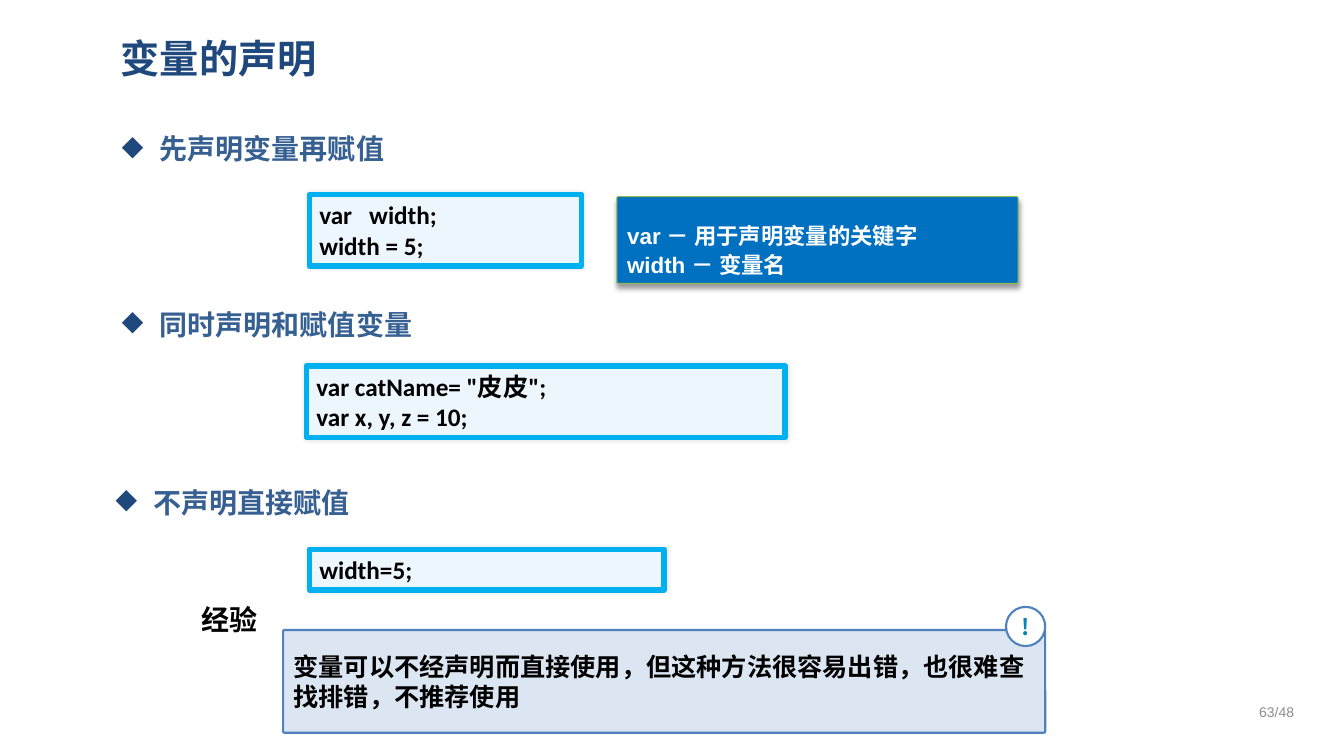
from lxml.etree import SubElement
from pptx import Presentation
from pptx.dml.color import RGBColor
from pptx.enum.shapes import MSO_SHAPE
from pptx.enum.text import MSO_ANCHOR, PP_ALIGN
from pptx.oxml.ns import qn
from pptx.util import Pt

NAVY = RGBColor(0x1F, 0x49, 0x7D)
STEEL = RGBColor(0x37, 0x60, 0x92)
BLUE = RGBColor(0x4F, 0x81, 0xBD)
MARK = RGBColor(0x0C, 0x83, 0xB8)
KEYWORD = RGBColor(0x00, 0x70, 0xC0)
OLIVE = RGBColor(0x95, 0xB7, 0x4F)
CYAN = RGBColor(0x00, 0xB0, 0xF0)
CODE = RGBColor(0xED, 0xF5, 0xFD)
PALE = RGBColor(0xDC, 0xE6, 0xF2)
GREY = RGBColor(0x8C, 0x8C, 0x8C)
BLACK = RGBColor(0, 0, 0)
WHITE = RGBColor(255, 255, 255)
HAN = "Noto Sans CJK SC"


def add_shadow(effects, opacity, blur, distance, angle):
    """Put an outer shadow in an effect list."""
    shadow = SubElement(effects, qn("a:outerShdw"), blurRad=str(Pt(blur)),
                        dist=str(Pt(distance)), dir=str(angle * 60000),
                        algn="ctr", rotWithShape="0")
    colour = SubElement(shadow, qn("a:srgbClr"), val=str(BLACK))
    SubElement(colour, qn("a:alpha"), val=str(opacity * 1000))


def add_bullet(para):
    """Give a paragraph a hanging navy diamond."""
    properties = para._p.get_or_add_pPr()
    properties.set("marL", str(Pt(27)))
    properties.set("indent", str(-Pt(27)))
    colour = SubElement(properties, qn("a:buClr"))
    SubElement(colour, qn("a:srgbClr"), val=str(NAVY))
    SubElement(properties, qn("a:buChar"), char="◆")


def write(shape, text, size=18, font=HAN, colour=BLACK, bold=True, align=PP_ALIGN.LEFT,
          anchor=MSO_ANCHOR.TOP, wrap=True, spacing=None, gap=0, bullet=False, shadow=None):
    """Write each line of the text as a paragraph of the shape."""
    frame = shape.text_frame
    frame.word_wrap = wrap
    frame.vertical_anchor = anchor
    for index, line in enumerate(text.split("\n")):
        para = frame.add_paragraph() if index else frame.paragraphs[0]
        if bullet:
            add_bullet(para)
        para.alignment = align
        if spacing:
            para.line_spacing = spacing
        if index:
            para.space_before = Pt(gap)
        span = para.add_run()
        span.text = line
        span.font.size = Pt(size)
        span.font.bold = bold
        span.font.color.rgb = colour
        properties = span._r.get_or_add_rPr()
        if shadow:
            add_shadow(SubElement(properties, qn("a:effectLst")), *shadow)
        span.font.name = font
        SubElement(properties, qn("a:ea"), typeface=HAN)


def add_label(page, box, text, **style):
    """Place plain text in a box."""
    write(page.shapes.add_textbox(*map(Pt, box)), text, **style)


def add_panel(page, box, fill, line, width, kind=MSO_SHAPE.RECTANGLE, corner=None, shadow=None):
    """Draw a filled, outlined shape."""
    panel = page.shapes.add_shape(kind, *map(Pt, box))
    if corner is not None:
        panel.adjustments[0] = corner
    panel.fill.solid()
    panel.fill.fore_color.rgb = fill
    panel.line.color.rgb = line
    panel.line.width = Pt(width)
    panel.shadow.inherit = False
    if shadow:
        add_shadow(panel._element.spPr.find(qn("a:effectLst")), *shadow)
    return panel


def add_heading(page, box, text):
    """Place a bulleted section heading."""
    add_label(page, box, text, size=20, colour=STEEL, spacing=1.2, bullet=True)


def add_code(page, box, text):
    """Draw a code panel."""
    panel = add_panel(page, box, CODE, CYAN, 4, shadow=(10, 3, 0, 0))
    write(panel, text, font="Calibri")


def add_keywords(page, box, text):
    """Draw the panel that explains the keywords."""
    panel = add_panel(page, box, KEYWORD, OLIVE, 0.75, MSO_SHAPE.ROUNDED_RECTANGLE,
                      0.018, (40, 4, 3, 90))
    write(panel, text, size=16, font="Arial", colour=WHITE, anchor=MSO_ANCHOR.BOTTOM,
          wrap=False, spacing=0.9, gap=3.2)


def add_advice(page, box, label, text):
    """Draw the advice panel with its label and its badge at the top right corner."""
    left, top, width, height = box
    add_label(page, (left - 65.5, top - 23.75, 55.5, 31.5), label, size=20,
              anchor=MSO_ANCHOR.MIDDLE, wrap=False, shadow=(40, 3, 2, 90))
    panel = add_panel(page, box, PALE, BLUE, 1.5, MSO_SHAPE.ROUNDED_RECTANGLE, 0.012)
    write(panel, text, anchor=MSO_ANCHOR.MIDDLE)
    side = 28
    badge = add_panel(page, (left + width - side, top - 16.5, side, side),
                      WHITE, BLUE, 1.5, MSO_SHAPE.OVAL)
    write(badge, "!", size=16, colour=MARK, align=PP_ALIGN.CENTER, anchor=MSO_ANCHOR.MIDDLE)


def build_page(page):
    """Lay out the slide on variable declarations."""
    add_label(page, (79.2, 17.3, 838.8, 48.2), "变量的声明", size=28, colour=NAVY,
              anchor=MSO_ANCHOR.MIDDLE)
    sections = [
        ((80, 85.7, 378, 39), "先声明变量再赋值",
         (221, 139, 194.4, 51), "var   width;\nwidth = 5;"),
        ((80, 211, 378, 39), "同时声明和赋值变量",
         (218.9, 261.4, 342, 51), 'var catName= "皮皮";\nvar x, y, z = 10;'),
        ((75.6, 338.4, 272, 39), "不声明直接赋值",
         (221, 392.4, 253.4, 29), "width=5;"),
    ]
    for heading_box, heading, code_box, code in sections:
        add_heading(page, heading_box, heading)
        add_code(page, code_box, code)
    add_keywords(page, (440.6, 140.4, 286.6, 62), "var － 用于声明变量的关键字\nwidth － 变量名")
    add_advice(page, (202.3, 450, 544.3, 73.4), "经验",
               "变量可以不经声明而直接使用，但这种方法很容易出错，也很难查找排错，不推荐使用")
    add_label(page, (888.5, 494, 46.8, 28.8), "63/48", size=10, font="Arial", colour=GREY,
              bold=False, align=PP_ALIGN.CENTER, anchor=MSO_ANCHOR.MIDDLE)


def main():
    """Build and save the deck."""
    deck = Presentation()
    deck.slide_width, deck.slide_height = Pt(960), Pt(540)
    build_page(deck.slides.add_slide(deck.slide_layouts[6]))
    deck.save("out.pptx")


if __name__ == "__main__":
    main()
